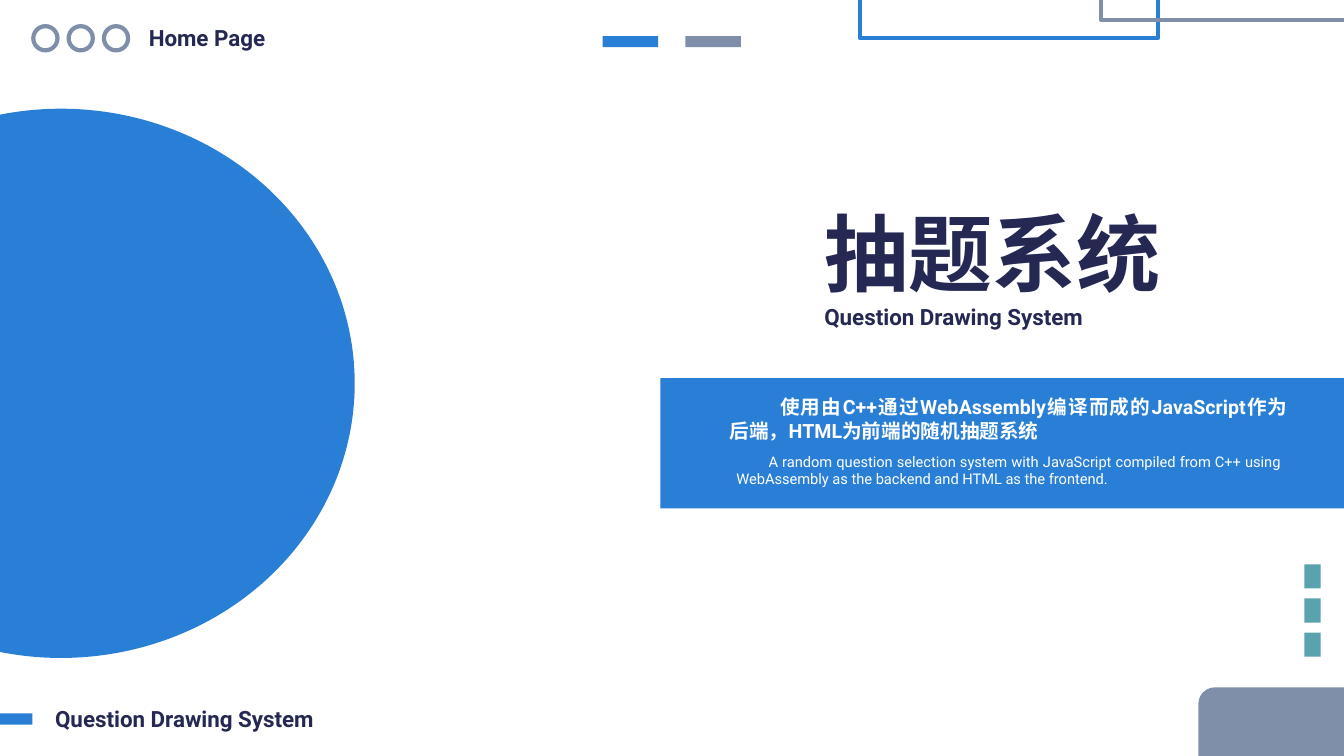
from pptx import Presentation
from pptx.dml.color import RGBColor
from pptx.enum.lang import MSO_LANGUAGE_ID as LANG
from pptx.enum.shapes import MSO_SHAPE as SHAPE
from pptx.enum.text import MSO_ANCHOR as ANCHOR, MSO_AUTO_SIZE as AUTO, PP_ALIGN as ALIGN
from pptx.oxml.ns import qn
from pptx.util import Cm, Pt

COLORS = {"blue": "297FD5", "grey": "7F8FA9", "navy": "242852",
          "teal": "5AA2AE", "white": "FFFFFF"}
FONT = "Roboto"
TITLE = {"size": Pt(60), "bold": True}
LABEL = {"size": Pt(16), "bold": True}
LEAD = {"size": Pt(14), "bold": True}
SMALL = {"size": Pt(10.5), "bold": False}
CHINESE = {"language_id": LANG.SIMPLIFIED_CHINESE}


def rgb(name):
    return RGBColor.from_string(COLORS[name])


def add_shape(slide, kind, box, fill=None, line=None):
    sp = slide.shapes.add_shape(kind, *map(Cm, box))
    sp.shadow.inherit = False
    if fill:
        sp.fill.solid()
        sp.fill.fore_color.rgb = rgb(fill)
    else:
        sp.fill.background()
    if line:
        sp.line.color.rgb = rgb(line)
        sp.line.width = Pt(3)
    else:
        sp.line.fill.background()
    return sp


def set_text(sp, box, text, fmt, color="navy", align=ALIGN.LEFT, indent=0):
    sp.left, sp.top, sp.width, sp.height = map(Cm, box)
    tf = sp.text_frame
    frame = {"word_wrap": True, "auto_size": AUTO.NONE, "vertical_anchor": ANCHOR.TOP}
    for key, value in frame.items():
        setattr(tf, key, value)
    p = tf.paragraphs[0]
    p.alignment, p.space_before = align, Pt(0)
    if indent:
        p._p.get_or_add_pPr().set("indent", str(Cm(indent)))
    r = p.add_run()
    r.text = text
    for key, value in {"name": FONT, **fmt}.items():
        setattr(r.font, key, value)
    r.font.color.rgb = rgb(color)
    # East Asian typeface follows the Latin one
    ea = r._r.get_or_add_rPr().makeelement(qn("a:ea"), {"typeface": FONT})
    r.font._element.find(qn("a:latin")).addnext(ea)


def add_text(slide, box, *args, **kwargs):
    set_text(slide.shapes.add_textbox(*map(Cm, box)), box, *args, **kwargs)


def add_header(slide, x, y):
    # Three rings and the page name
    for i in range(3):
        add_shape(slide, SHAPE.OVAL, (x + 0.89 * i, y, 0.61, 0.61), line="grey")
    add_text(slide, (x + 2.66, y - 0.18, 4.45, 0.94), "Home Page", LABEL)
    # Two dashes in the middle
    for i, color in enumerate(("blue", "grey")):
        add_shape(slide, SHAPE.RECTANGLE, (x + 14.35 + 2.08 * i, y + 0.25, 1.4, 0.28), color)


def add_frames(slide, x, y):
    # Overlapping outlines that run off the top edge
    for dx, dy, color in ((0, 0, "blue"), (6.07, -0.46, "grey")):
        add_shape(slide, SHAPE.RECTANGLE, (x + dx, y + dy, 7.52, 1.8), line=color)


def add_titles(slide, x, y):
    set_text(slide.shapes.title, (x, y, 9.45, 2.82), "抽题系统", {**TITLE, **CHINESE})
    set_text(slide.placeholders[1], (x, y + 2.57, 8.05, 0.94),
             "Question Drawing System", LABEL)


def add_band(slide, x, y, w, h):
    # Description in two languages on a blue band
    add_shape(slide, SHAPE.RECTANGLE, (x, y, w, h), "blue")
    add_text(slide, (x + 1.5, y + 0.3, w - 2.67, 1.45),
             "使用由C++通过WebAssembly编译而成的JavaScript作为后端，HTML为前端的随机抽题系统",
             {**LEAD, **CHINESE}, "white", ALIGN.JUSTIFY, 1.27)
    add_text(slide, (x + 1.67, y + 1.75, w - 3, 1.14),
             "A random question selection system with JavaScript compiled from C++ "
             "using WebAssembly as the backend and HTML as the frontend.",
             SMALL, "white", ALIGN.JUSTIFY, 0.81)


def add_footer(slide, x, y):
    add_shape(slide, SHAPE.RECTANGLE, (x, y, 1.4, 0.28), "blue")
    add_text(slide, (x + 1.72, y - 0.33, 8.05, 0.94), "Question Drawing System", LABEL)


def add_corner(slide, x, y):
    # Rounded block with a column of teal tiles above it
    add_shape(slide, SHAPE.ROUNDED_RECTANGLE, (x, y, 5.05, 2.51), "grey")
    for i in range(3):
        add_shape(slide, SHAPE.RECTANGLE, (x + 2.67, y - 3.1 + 0.86 * i, 0.41, 0.61), "teal")


def main():
    prs = Presentation()
    prs.slide_width, prs.slide_height = Cm(33.87), Cm(19.05)
    slide = prs.slides.add_slide(prs.slide_layouts[0])
    add_titles(slide, 20.52, 4.95)
    add_band(slide, 16.64, 9.53, 17.23, 3.28)
    add_footer(slide, -0.58, 17.98)
    add_corner(slide, 30.2, 17.32)
    add_frames(slide, 21.67, -0.84)
    add_header(slide, 0.84, 0.66)
    # Large disc on the left edge
    add_shape(slide, SHAPE.OVAL, (-5.87, 2.74, 14.81, 13.84), "blue")
    prs.save("out.pptx")


if __name__ == "__main__":
    main()
